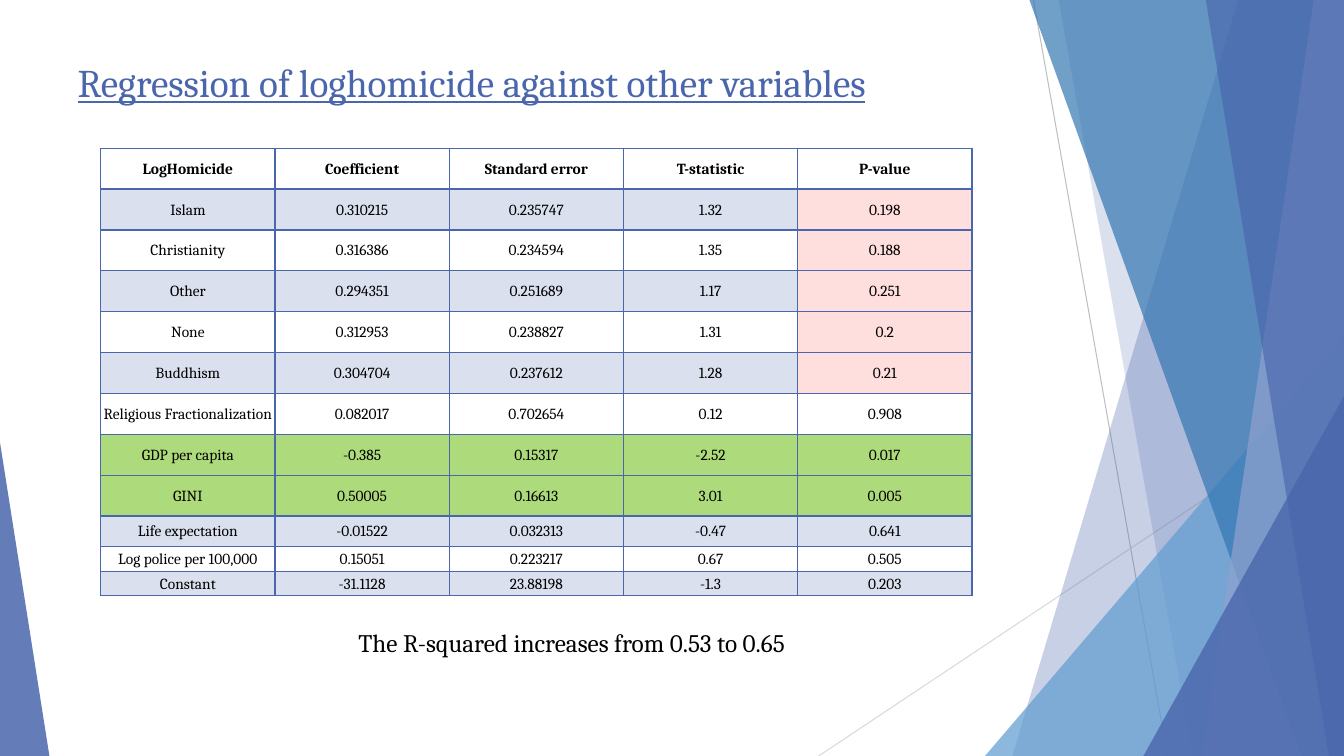
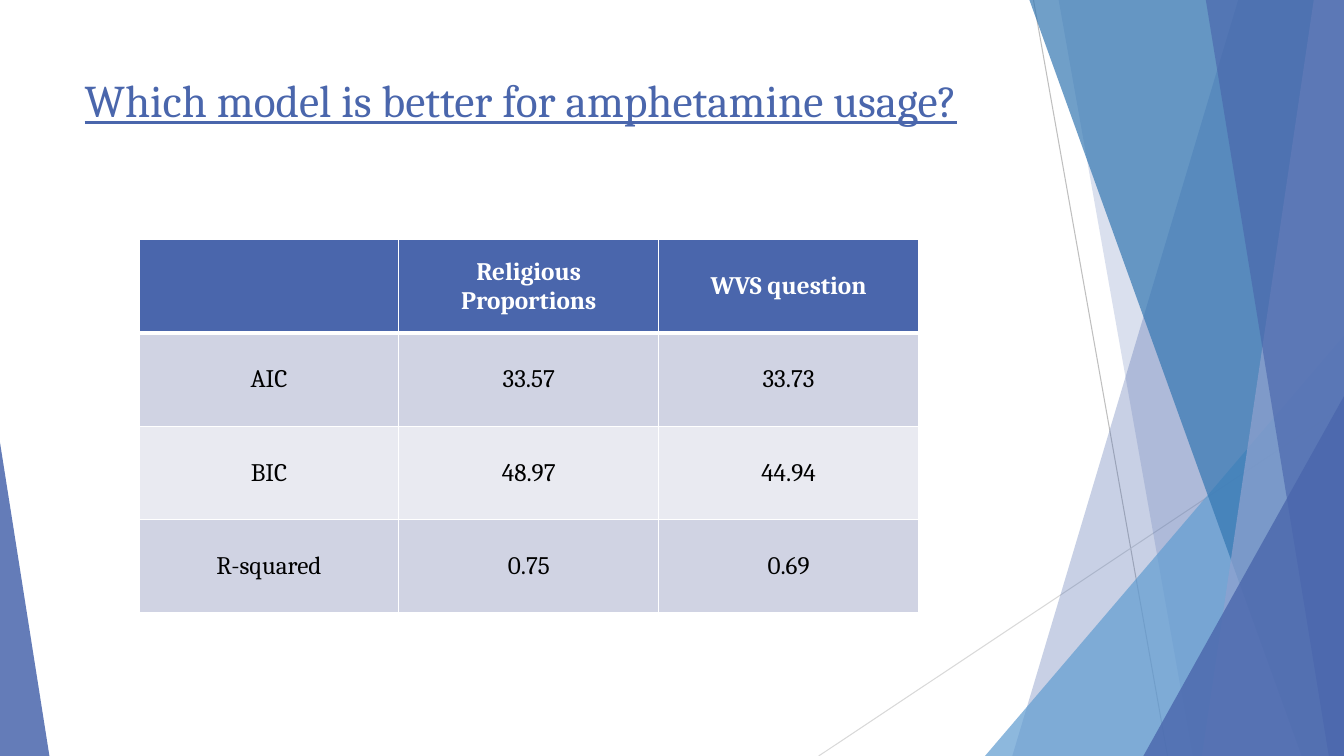
from lxml.etree import SubElement
from pptx import Presentation
from pptx.dml.color import RGBColor
from pptx.enum.shapes import MSO_CONNECTOR, MSO_SHAPE
from pptx.enum.text import MSO_ANCHOR, MSO_AUTO_SIZE, PP_ALIGN
from pptx.oxml import parse_xml
from pptx.oxml.ns import nsdecls, qn
from pptx.util import Inches, Pt

WIDTH, HEIGHT = 13.33, 7.5
FONT = "Cambria"
BLUE, SKY, OCEAN, LAVENDER = "4A66AC", "629DD1", "3477B2", "90A2CF"
WHITE, BLACK, RED, GREEN = "FFFFFF", "000000", "FF0000", "92D050"
DARK_STRIPE, LIGHT_STRIPE = "D0D3E3", "E9EAF1"


def color(hex_code):
    return RGBColor.from_string(hex_code)


def inches(*lengths):
    return [Inches(length) for length in lengths]


def paint(fill, properties, hex_code, opacity=100):
    fill.solid()
    fill.fore_color.rgb = color(hex_code)
    if opacity < 100:
        tint = properties.find(qn("a:solidFill")).find(qn("a:srgbClr"))
        SubElement(tint, qn("a:alpha"), val=str(opacity * 1000))


def style_paragraph(paragraph, size, hex_code, align, bold=False, underline=False):
    paragraph.alignment = align
    paragraph.font.name = FONT
    paragraph.font.size = Pt(size)
    paragraph.font.color.rgb = color(hex_code)
    paragraph.font.bold = bold
    paragraph.font.underline = underline


def finish_facet(facet, hex_code, opacity):
    paint(facet.fill, facet.element.spPr, hex_code, opacity)
    facet.line.fill.background()
    facet.shadow.inherit = False
    return facet


def add_ray(shapes, start, end, hex_code):
    ray = shapes.add_connector(MSO_CONNECTOR.STRAIGHT, *inches(*start, *end))
    ray.line.color.rgb = color(hex_code)
    ray.line.width = Pt(0.75)
    SubElement(ray.element.spPr, qn("a:effectLst"))
    return ray


def add_band(shapes, top_x, bottom_x, hex_code, opacity):
    outline = shapes.build_freeform(*inches(top_x, 0))
    corners = [(WIDTH, 0), (WIDTH, HEIGHT), (bottom_x, HEIGHT)]
    outline.add_line_segments([inches(*corner) for corner in corners], close=True)
    return finish_facet(outline.convert_to_shape(), hex_code, opacity)


def add_corner(shapes, left, top, width, apex, hex_code, opacity):
    corner = shapes.add_shape(
        MSO_SHAPE.ISOSCELES_TRIANGLE, *inches(left, top, width, HEIGHT - top)
    )
    corner.adjustments[0] = apex
    return finish_facet(corner, hex_code, opacity)


def decorate_layout(layout, shapes):
    facets = [
        add_ray(shapes, (10.25, 0), (11.58, HEIGHT), "BFBFBF"),
        add_ray(shapes, (WIDTH, 4.03), (8.12, HEIGHT), "D9D9D9"),
        add_band(shapes, 12.28, 10.04, BLUE, 30),
        add_band(shapes, 10.5, 11.83, BLUE, 20),
        add_corner(shapes, 9.77, 3.33, 3.56, 1, SKY, 72),
        add_band(shapes, 10.21, 12.91, OCEAN, 70),
        add_band(shapes, 13.03, 11.92, LAVENDER, 70),
        add_band(shapes, 11.96, 13.18, BLUE, 65),
        add_corner(shapes, 11.34, 3.93, 1.99, 1, BLUE, 80),
        add_corner(shapes, 0, 4.39, 0.49, 0, BLUE, 85),
    ]
    for facet in facets:
        layout.shapes.element.append(facet.element)


def place_title(slide, wording, box, size):
    title = slide.shapes.title
    title.left, title.top, title.width, title.height = inches(*box)
    frame = title.text_frame
    frame.text = wording
    frame.word_wrap = True
    frame.auto_size = MSO_AUTO_SIZE.NONE
    frame.vertical_anchor = MSO_ANCHOR.TOP
    style_paragraph(frame.paragraphs[0], size, BLUE, PP_ALIGN.LEFT, underline=True)


def set_borders(properties, hex_code, widths):
    for position, (side, width) in enumerate(widths.items()):
        border = parse_xml(
            f'<a:ln{side} {nsdecls("a")} w="{Pt(width)}"><a:solidFill>'
            f'<a:srgbClr val="{hex_code}"/></a:solidFill></a:ln{side}>'
        )
        properties.insert(position, border)


def add_grid(slide, rows, box, heights, size, border, heading_rule, heading, fill_for):
    left, top, width, height = box
    column_count = len(rows[0])
    grid = slide.shapes.add_table(len(rows), column_count, *inches(*box)).table
    for column in grid.columns:
        column.width = Inches(width / column_count)
    for r, (values, row_height) in enumerate(zip(rows, heights)):
        grid.rows[r].height = Inches(row_height)
        for c, value in enumerate(values):
            cell = grid.cell(r, c)
            cell.text = value
            cell.vertical_anchor = MSO_ANCHOR.MIDDLE
            style_paragraph(
                cell.text_frame.paragraphs[0], size,
                heading if r == 0 else BLACK, PP_ALIGN.CENTER, bold=r == 0,
            )
            properties = cell._tc.get_or_add_tcPr()
            shade = fill_for(r, c)
            if shade:
                paint(cell.fill, properties, *shade)
            else:
                cell.fill.background()
            set_borders(properties, border, {
                "L": 1, "R": 1,
                "T": heading_rule if r == 1 else 1,
                "B": heading_rule if r == 0 else 1,
            })
    return grid


def regression_fill(row, column):
    if row in (7, 8):
        return GREEN, 75
    if 1 <= row <= 5 and column == 4:
        return RED, 13
    return (BLUE, 20) if row % 2 else None


def comparison_fill(row, column):
    if row == 0:
        return (BLUE,)
    return (DARK_STRIPE if row % 2 else LIGHT_STRIPE,)


def add_regression_table(slide, box):
    rows = [
        ("LogHomicide", "Coefficient", "Standard error", "T-statistic", "P-value"),
        ("Islam", "0.310215", "0.235747", "1.32", "0.198"),
        ("Christianity", "0.316386", "0.234594", "1.35", "0.188"),
        ("Other", "0.294351", "0.251689", "1.17", "0.251"),
        ("None", "0.312953", "0.238827", "1.31", "0.2"),
        ("Buddhism", "0.304704", "0.237612", "1.28", "0.21"),
        ("Religious Fractionalization", "0.082017", "0.702654", "0.12", "0.908"),
        ("GDP per capita", "-0.385", "0.15317", "-2.52", "0.017"),
        ("GINI", "0.50005", "0.16613", "3.01", "0.005"),
        ("Life expectation", "-0.01522", "0.032313", "-0.47", "0.641"),
        ("Log police per 100,000", "0.15051", "0.223217", "0.67", "0.505"),
        ("Constant", "-31.1128", "23.88198", "-1.3", "0.203"),
    ]
    short_heights = [0.3, 0.25, 0.24]
    tall_count = len(rows) - len(short_heights)
    tall_height = (box[3] - sum(short_heights)) / tall_count
    heights = [tall_height] * tall_count + short_heights
    grid = add_grid(slide, rows, box, heights, 11, BLUE, 2, BLACK, regression_fill)
    for cell in grid.iter_cells():
        cell.margin_left = cell.margin_right = cell.margin_top = Inches(0.01)
        cell.margin_bottom = 0


def add_comparison_table(slide, box):
    rows = [
        ("", "Religious Proportions", "WVS question"),
        ("AIC", "33.57", "33.73"),
        ("BIC", "48.97", "44.94"),
        ("R-squared", "0.75", "0.69"),
    ]
    heights = [box[3] / len(rows)] * len(rows)
    add_grid(slide, rows, box, heights, 18, WHITE, 3, WHITE, comparison_fill)


def add_conclusion(slide, wording, box):
    conclusion = slide.shapes.add_textbox(*inches(*box)).text_frame
    conclusion.word_wrap = True
    conclusion.text = wording
    style_paragraph(conclusion.paragraphs[0], 18, BLACK, PP_ALIGN.CENTER)


def build_regression(slide):
    place_title(
        slide, "Regression of loghomicide against other variables",
        (0.67, 0.53, 9.67, 1.25), 28,
    )
    add_regression_table(slide, (1, 1.47, 8.64, 4.44))
    add_conclusion(
        slide, "The R-squared increases from 0.53 to 0.65", (0.28, 6.17, 10.78, 0.4)
    )


def build_comparison(slide):
    place_title(
        slide, "Which model is better for amphetamine usage?",
        (0.74, 0.67, 9.4, 1.44), 32.4,
    )
    add_comparison_table(slide, (1.38, 2.38, 7.73, 3.7))


deck = Presentation()
deck.slide_width, deck.slide_height = inches(WIDTH, HEIGHT)
title_only = deck.slide_layouts[5]
regression = deck.slides.add_slide(title_only)
decorate_layout(title_only, regression.shapes)
build_regression(regression)
build_comparison(deck.slides.add_slide(title_only))
deck.save("out.pptx")
